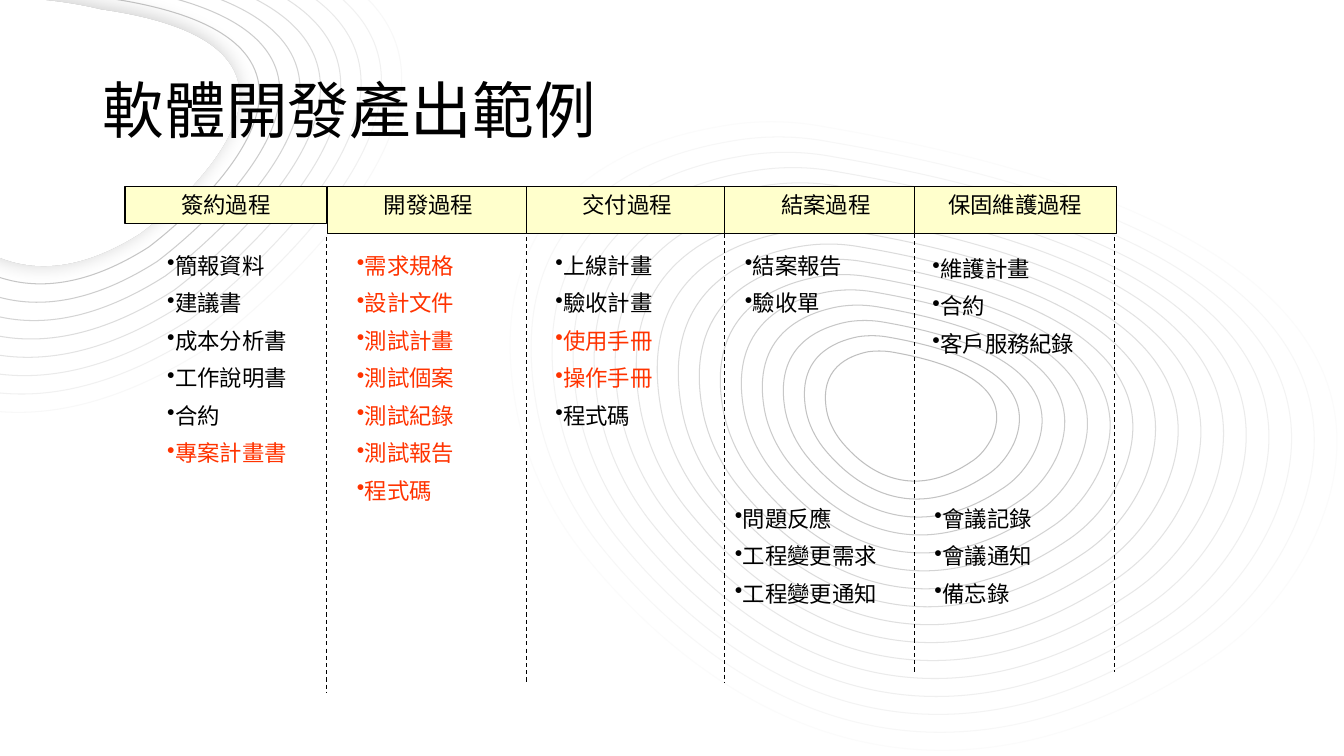
from lxml import etree
from pptx import Presentation
from pptx.dml.color import RGBColor
from pptx.enum.dml import MSO_LINE
from pptx.enum.shapes import MSO_CONNECTOR, MSO_SHAPE
from pptx.enum.text import MSO_ANCHOR, MSO_AUTO_SIZE, PP_ALIGN
from pptx.oxml.ns import qn
from pptx.util import Inches, Pt

DASH, STRAIGHT, RECTANGLE = MSO_LINE.DASH, MSO_CONNECTOR.STRAIGHT, MSO_SHAPE.RECTANGLE
TOP, MIDDLE, NO_FIT = MSO_ANCHOR.TOP, MSO_ANCHOR.MIDDLE, MSO_AUTO_SIZE.NONE
LEFT, CENTER = PP_ALIGN.LEFT, PP_ALIGN.CENTER

BLACK = RGBColor(0x00, 0x00, 0x00)
RED = RGBColor(0xFF, 0x33, 0x00)
CREAM = RGBColor(0xFF, 0xFF, 0xCC)
WHITE = RGBColor(0xFF, 0xFF, 0xFF)
INNER_GRAY = 0xBF


def write(frame, lines, font="Calibri", size=16, align=LEFT, anchor=TOP,
          bullet=False, red=(), gap=0, spacing=None):
    """Fill a text frame with one paragraph per line; red holds line numbers."""
    frame.word_wrap = True
    frame.auto_size = NO_FIT
    frame.vertical_anchor = anchor
    for number, line in enumerate(lines):
        paragraph = frame.add_paragraph() if number else frame.paragraphs[0]
        if bullet:
            properties = paragraph._p.get_or_add_pPr()
            properties.set("marL", "0")
            properties.set("indent", "0")
            etree.SubElement(properties, qn("a:buChar")).set("char", "•")
        paragraph.alignment = align
        paragraph.line_spacing = spacing
        if number:
            paragraph.space_before = Pt(gap)
        run = paragraph.add_run()
        run.text = line
        run.font.name = font
        run.font.size = Pt(size)
        run.font.color.rgb = RED if number in red else BLACK
        etree.SubElement(run._r.get_or_add_rPr(), qn("a:ea")).set("typeface", font)


def draw_contour(points, color):
    """Draw a closed outline through cubic curves: start, then three points each."""
    start, *controls = [(Inches(x), Inches(y)) for x, y in points]
    builder = slide.shapes.build_freeform(*start, 1.0)
    builder.add_line_segments(controls, close=True)
    contour = builder.convert_to_shape()
    # Turn every three straight segments into one cubic curve
    segments = list(contour._element.iter(qn("a:lnTo")))
    for first in range(0, len(segments), 3):
        curve = etree.Element(qn("a:cubicBezTo"))
        segments[first].addprevious(curve)
        for segment in segments[first:first + 3]:
            curve.append(segment[0])
            segment.getparent().remove(segment)
    contour.shadow.inherit = False
    contour.fill.background()
    contour.line.color.rgb = color
    contour.line.width = Pt(0.75)
    return contour


deck = Presentation()
deck.slide_width, deck.slide_height = Inches(13.33), Inches(7.5)
slide = deck.slides.add_slide(deck.slide_layouts[5])

# Background contours: (inner ring, outer ring, ring count, outer gray)
corner_inner = [(1, 0.1), (1, 0.1), (-1.5, -0.55), (-1.03, 1.29), (-1.03, 1.29),
                (-0.37, 3.43), (1.39, 2.31), (1.39, 2.31), (3.84, 0.5), (1, 0.1)]
corner_outer = [(1.3, -0.88), (1.3, -0.88), (-3.6, -2.14), (-2.67, 1.45), (-2.67, 1.45),
                (-1.39, 5.66), (2.06, 3.45), (2.06, 3.45), (6.86, -0.1), (1.3, -0.88)]
right_inner = [(8.61, 3.49), (8.42, 3.53), (8.12, 3.65), (8.2, 4.08), (8.22, 4.18),
               (8.27, 4.28), (8.33, 4.36), (8.51, 4.59), (8.97, 5.02), (9.62, 4.59),
               (9.72, 4.53), (9.79, 4.44), (9.84, 4.34), (9.95, 4.09), (9.95, 3.68),
               (8.83, 3.49), (8.76, 3.48), (8.68, 3.48), (8.61, 3.49)]
right_outer = [(7.11, 1.26), (6.19, 1.42), (4.72, 2.01), (5.13, 4.1), (5.23, 4.59),
               (5.45, 5.06), (5.76, 5.46), (6.64, 6.57), (8.85, 8.64), (12, 6.54),
               (12.45, 6.24), (12.81, 5.82), (13.04, 5.32), (13.57, 4.16), (13.55, 2.18),
               (8.19, 1.26), (7.83, 1.19), (7.47, 1.19), (7.11, 1.26)]
for inner, outer, count, outer_gray in ((corner_inner, corner_outer, 9, 0xF8),
                                        (right_inner, right_outer, 16, 0xFB)):
    for ring in reversed(range(count)):
        share = ring / (count - 1)
        gray = round(INNER_GRAY + (outer_gray - INNER_GRAY) * share)
        draw_contour([(x + (ox - x) * share, y + (oy - y) * share)
                      for (x, y), (ox, oy) in zip(inner, outer)],
                     RGBColor(gray, gray, gray))

# White corner blob with a soft shadow
blob = draw_contour(corner_inner, WHITE)
blob.fill.solid()
blob.fill.fore_color.rgb = WHITE
effects = blob._element.spPr.find(qn("a:effectLst"))
shadow = etree.SubElement(effects, qn("a:outerShdw"), blurRad=str(Pt(15)),
                          dist=str(Pt(3)), dir="13500000", rotWithShape="0")
shadow_color = etree.SubElement(shadow, qn("a:srgbClr"), val="000000")
etree.SubElement(shadow_color, qn("a:alpha"), val="20000")

# Title, brought in front of the contours
title = slide.shapes.title
title.element.getparent().append(title.element)
title.left, title.top, title.width, title.height = map(Inches, (0.92, 0.4, 11.5, 1.45))
write(title.text_frame, ["軟體開發產出範例"], font="Noto Sans CJK SC", size=44,
      anchor=MIDDLE, spacing=0.9)

# Process headers: (name, left, height)
for process, left, height in (("簽約過程", 1.24, 0.37), ("開發過程", 3.25, 0.47),
                              ("交付過程", 5.22, 0.47), ("結案過程", 7.19, 0.47),
                              ("保固維護過程", 9.07, 0.47)):
    header = slide.shapes.add_shape(RECTANGLE, *map(Inches, (left, 1.85, 2, height)))
    header.shadow.inherit = False
    header.fill.solid()
    header.fill.fore_color.rgb = CREAM
    header.line.color.rgb = BLACK
    header.line.width = Pt(0.75)
    write(header.text_frame, [process], align=CENTER)

# Dashed column dividers: (x, top, bottom)
for x, top, bottom in ((3.24, 2.35, 6.87), (5.22, 2.35, 6.77), (7.19, 2.25, 6.77),
                       (9.07, 2.25, 6.67), (11.05, 2.35, 6.67)):
    divider = slide.shapes.add_connector(STRAIGHT, *map(Inches, (x, top, x, bottom)))
    divider.line.color.rgb = BLACK
    divider.line.width = Pt(0.75)
    divider.line.dash_style = DASH
    etree.SubElement(divider._element.spPr, qn("a:effectLst"))

# Deliverables: (left, top, width, height), items, numbers of the red items
deliverables = (
    ((1.56, 2.45, 1.68, 4.08),
     ["簡報資料", "建議書", "成本分析書", "工作說明書", "合約", "專案計畫書"], (5,)),
    ((3.44, 2.45, 1.58, 2.79),
     ["需求規格", "設計文件", "測試計畫", "測試個案", "測試紀錄", "測試報告", "程式碼"], range(7)),
    ((5.41, 2.45, 1.68, 2.53),
     ["上線計畫", "驗收計畫", "使用手冊", "操作手冊", "程式碼"], (2, 3)),
    ((7.29, 2.45, 1.78, 0.99), ["結案報告", "驗收單"], ()),
    ((9.15, 2.48, 1.88, 1.85), ["維護計畫", "合約", "客戶服務紀錄"], ()),
    ((7.19, 4.96, 1.87, 2.19), ["問題反應", "工程變更需求", "工程變更通知"], ()),
    ((9.17, 4.96, 2.47, 1.5), ["會議記錄", "會議通知", "備忘錄"], ()),
)
for place, items, red in deliverables:
    item_list = slide.shapes.add_textbox(*map(Inches, place))
    write(item_list.text_frame, items, bullet=True, red=red, gap=7.6)

deck.save("out.pptx")
